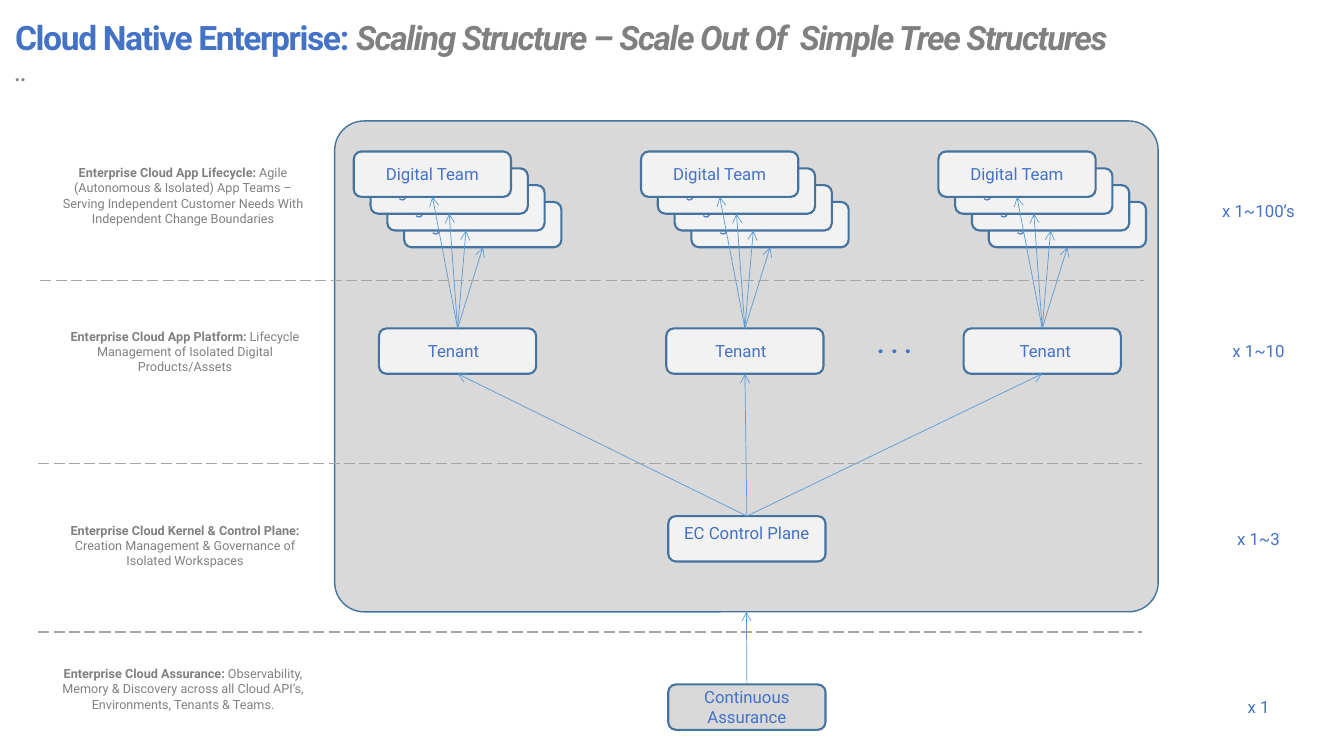
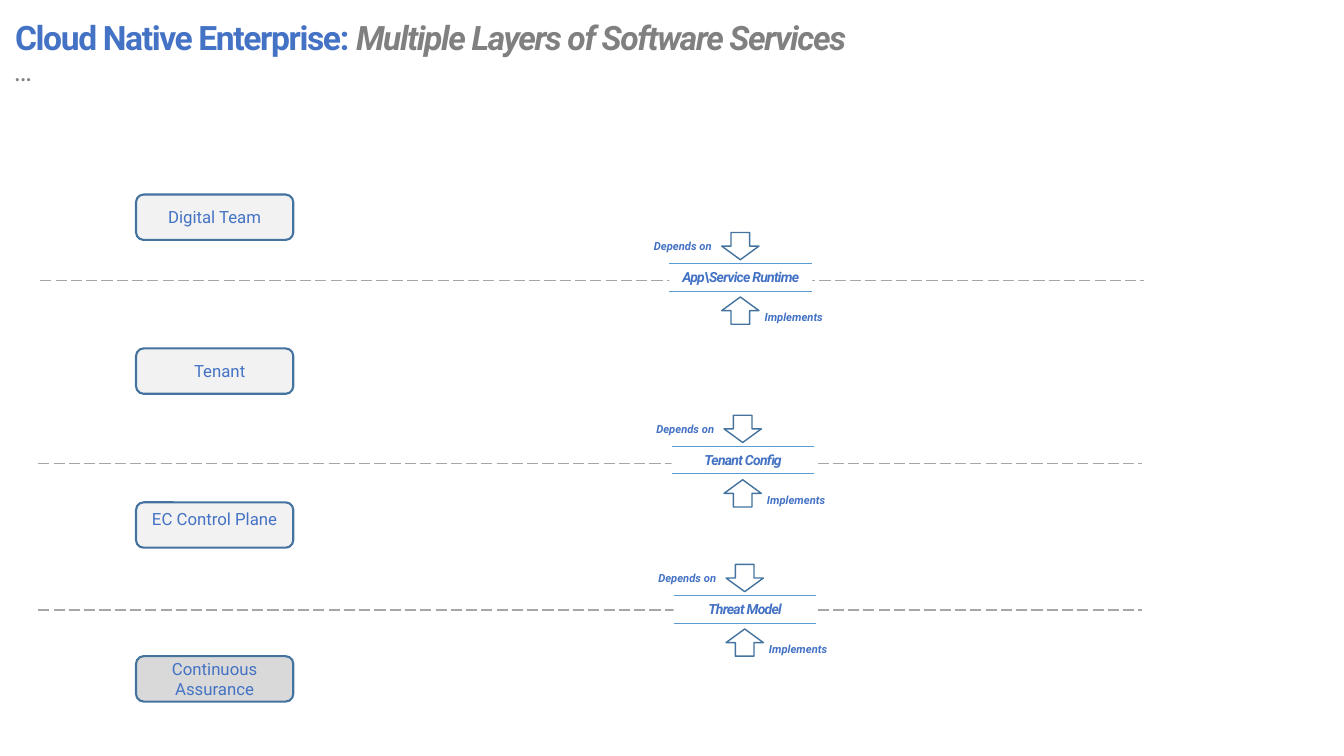
from dataclasses import dataclass

from lxml import etree
from pptx import Presentation
from pptx import util as u
from pptx.dml.color import RGBColor
from pptx.enum import dml, shapes, text
from pptx.oxml import ns

# The slide is a grid of 80 columns by 45 rows; every length below is in grid units.
COLUMNS, ROWS = 80, 45
WIDTH, HEIGHT = u.Inches(13.333), u.Inches(7.5)
CARD_WIDTH, CARD_HEIGHT = 9.36, 2.7
STACK_SIZE = 4


@dataclass(frozen=True)
class Theme:
    font: str = "Roboto"
    blue: str = "4472C4"
    grey: str = "808080"
    outline: str = "43739E"
    arrow: str = "5B9BD5"
    divider: str = "A6A6A6"
    panel: str = "D9D9D9"
    card: str = "F2F2F2"
    white: str = "FFFFFF"
    title: int = 24
    subtitle: int = 20
    dots: int = 18
    label: int = 12
    interface: int = 10
    note: int = 9
    caption: int = 8


THEME = Theme()
LABEL = {"size": THEME.label, "color": THEME.blue}
DOTS = {"size": THEME.dots, "color": THEME.blue, "bold": True}
NOTE = {"size": THEME.note, "color": THEME.grey}
NOTE_HEAD = {**NOTE, "bold": True}
CAPTION = {"size": THEME.caption, "color": THEME.blue, "bold": True, "italic": True}
INTERFACE = {**CAPTION, "size": THEME.interface, "spacing": -0.5}
TITLE = {"size": THEME.title, "color": THEME.blue, "bold": True, "spacing": -1}
TOPIC = {**TITLE, "color": THEME.grey, "italic": True}
SUBTITLE = {**TOPIC, "size": THEME.subtitle, "bold": False}

PANEL = (19.92, 7.2, 49.02, 29.22)
DIVIDER_LENGTH = 65.7
UPPER_DIVIDERS = [(2.4, 16.68), (2.28, 27.6)]
TEAM_LEFTS = [21.06, 38.16, 55.86]
TENANT_SHIFTS = [-0.24, -0.24, 0.18]
LAYERS = [
    (2.64, 9.54, "Enterprise Cloud App Lifecycle: ",
     "Agile (Autonomous & Isolated) App Teams – Serving Independent Customer "
     "Needs With Independent Change Boundaries", "x 1~100’s", 11.64),
    (2.76, 19.26, "Enterprise Cloud App Platform: ",
     "Lifecycle Management of Isolated Digital Products/Assets", "x 1~10", 19.98),
    (2.76, 30.84, "Enterprise Cloud Kernel & Control Plane: ",
     "Creation Management & Governance of Isolated Workspaces", "x 1~3", 31.2),
    (2.64, 39.36, "Enterprise Cloud Assurance: ",
     "Observability, Memory & Discovery across all Cloud API’s, Environments, "
     "Tenants & Teams.", "x 1", 41.16),
]
INTERFACES = [
    ("App\\Service Runtime", 39.84, 15.7),
    ("Tenant Config", 39.98, 26.58),
    ("Threat Model", 40.1, 35.46),
]


def across(columns):
    return round(WIDTH * columns / COLUMNS)


def down(rows):
    return round(HEIGHT * rows / ROWS)


def area(left, top, width, height):
    return across(left), down(top), across(width), down(height)


def add_span(para, words, style):
    span = para.add_run()
    span.text = words
    values = {"name": THEME.font, **style}
    span.font.color.rgb = RGBColor.from_string(values.pop("color"))
    spacing = values.pop("spacing", 0)
    if spacing:
        span._r.get_or_add_rPr().set("spc", str(round(spacing * 100)))
    values["size"] = u.Pt(values["size"])
    for name, value in values.items():
        setattr(span.font, name, value)


def write(box, lines, align=text.PP_ALIGN.CENTER, **frame_format):
    """Fill a box with lines, each a list of (words, style) pairs."""
    frame = box.text_frame
    for name, value in {"word_wrap": True, **frame_format}.items():
        setattr(frame, name, value)
    for index, spans in enumerate(lines):
        para = frame.add_paragraph() if index else frame.paragraphs[0]
        para.alignment = align
        for words, style in spans:
            add_span(para, words, style)
    return frame


def add_label(page, place, *spans):
    write(page.shapes.add_textbox(*area(*place)), [spans])


def add_box(page, kind, place, fill, line_width=0):
    box = page.shapes.add_shape(kind, *area(*place))
    box.shadow.inherit = False
    box.fill.solid()
    box.fill.fore_color.rgb = RGBColor.from_string(fill)
    if line_width:
        box.line.color.rgb = RGBColor.from_string(THEME.outline)
        box.line.width = u.Pt(line_width)
    else:
        box.line.fill.background()
    return box


def add_card(page, words, left, top, fill=THEME.card, shift=0,
             align=text.PP_ALIGN.CENTER, anchor=text.MSO_ANCHOR.MIDDLE, wrap=True):
    """Add a rounded card whose words sit `shift` columns off its centre."""
    card = add_box(page, shapes.MSO_SHAPE.ROUNDED_RECTANGLE,
                   (left, top, CARD_WIDTH, CARD_HEIGHT), fill, 1.5)
    at_top = anchor == text.MSO_ANCHOR.TOP
    write(card, [[(words, LABEL)]], align, word_wrap=wrap, vertical_anchor=anchor,
          margin_left=across(0.6 + shift), margin_right=across(0.6 - shift),
          margin_top=down(0.24 if at_top else 0), margin_bottom=0)
    return card


def add_control_plane(page, left, top):
    return add_card(page, "EC Control Plane", left, top, anchor=text.MSO_ANCHOR.TOP)


def add_assurance(page, left, top):
    return add_card(page, "Continuous Assurance", left, top, fill=THEME.panel)


def add_line(page, start=(0, 0), end=(0, 0), color=THEME.arrow, width=0.5):
    line = page.shapes.add_connector(
        shapes.MSO_CONNECTOR.STRAIGHT, across(start[0]), down(start[1]),
        across(end[0]), down(end[1]))
    line.line.color.rgb = RGBColor.from_string(color)
    line.line.width = u.Pt(width)
    etree.SubElement(line._element.spPr, ns.qn("a:effectLst"))
    return line


def add_arrow(page, lower, upper):
    """Point from the top of one box to the bottom of another."""
    arrow = add_line(page)
    arrow.begin_connect(lower, 0)
    arrow.end_connect(upper, 2)
    etree.SubElement(arrow.line._get_or_add_ln(), ns.qn("a:tailEnd"), type="arrow")


def add_dividers(page, starts):
    for left, top in starts:
        divider = add_line(page, (left, top), (left + DIVIDER_LENGTH, top),
                           THEME.divider, 1)
        divider.line.dash_style = dml.MSO_LINE.LONG_DASH


def add_title(page, topic, subtitle):
    box = page.shapes.add_textbox(*area(0.12, 0.78, 78.18, 4.68))
    frame = write(
        box,
        [[("Cloud Native Enterprise: ", TITLE), (topic, TOPIC)], [(subtitle, SUBTITLE)]],
        text.PP_ALIGN.LEFT, margin_left=across(0.78), margin_right=across(0.78),
        margin_top=down(0.48), margin_bottom=down(0.48))
    for para in frame.paragraphs:
        para.line_spacing = 0.9


def add_tenant_tree(page, left, shift):
    """Add a stack of team cards above their tenant, and return the tenant."""
    teams = []
    for step in reversed(range(STACK_SIZE)):
        place = (left + step, 9.02 + step)
        if step:
            team = add_card(page, "Digital Product", *place,
                            align=text.PP_ALIGN.LEFT, wrap=False)
        else:
            team = add_card(page, "Digital Team", *place)
        teams.append(team)
    tenant = add_card(page, "Tenant", left + 1.5, 19.55, shift=shift)
    for team in teams:
        add_arrow(page, tenant, team)
    return tenant


def add_interface(page, name, left, top):
    """Add a named contract with the layer that depends on it and the one below."""
    width, height = 8.5, 1.62
    box = add_box(page, shapes.MSO_SHAPE.RECTANGLE, (left, top, width, height), THEME.white)
    write(box, [[(name, INTERFACE)]], vertical_anchor=text.MSO_ANCHOR.MIDDLE,
          margin_top=0, margin_bottom=0)
    for edge in (top, top + height):
        add_line(page, (left, edge), (left + width, edge))
    sides = [
        ("Depends on", -1.62, -1.74, shapes.MSO_SHAPE.DOWN_ARROW, -1.86),
        ("Implements", 4.98, 2.46, shapes.MSO_SHAPE.UP_ARROW, 1.98),
    ]
    for words, column, row, kind, arrow_row in sides:
        add_label(page, (left + column, top + row, 4.86, 1.44), (words, CAPTION))
        add_box(page, kind, (left + 3.12, top + arrow_row, 2.22, height), THEME.white, 1)


def build_scaling_page(page):
    panel = add_box(page, shapes.MSO_SHAPE.ROUNDED_RECTANGLE, PANEL, THEME.panel, 1)
    panel.adjustments[0] = 0.06
    add_title(page, "Scaling Structure – Scale Out Of  Simple Tree Structures", "..")
    assurance = add_assurance(page, 39.78, 40.74)
    control_plane = add_control_plane(page, 39.78, 30.72)
    add_label(page, (51.48, 19.26, 3.9, 2.4), (". . . ", DOTS))
    for left, shift in zip(TEAM_LEFTS, TENANT_SHIFTS):
        tenant = add_tenant_tree(page, left, shift)
        add_arrow(page, control_plane, tenant)
    add_arrow(page, assurance, panel)
    add_dividers(page, UPPER_DIVIDERS + [(2.28, 37.62)])
    for left, top, heading, detail, count, count_top in LAYERS:
        add_label(page, (left, top, 16.5, 3.36), (heading, NOTE_HEAD), (detail, NOTE))
        add_label(page, (70.44, count_top, 8.94, 1.8), (count, LABEL))


def build_services_page(page):
    add_dividers(page, UPPER_DIVIDERS + [(2.28, 36.3)])
    add_title(page, "Multiple Layers of Software Services", "…")
    for name, left, top in INTERFACES:
        add_interface(page, name, left, top)
    left = 8.1
    team_top, tenant_top, control_top, assurance_top = (
        11.58 + 9.16 * row for row in range(4))
    add_card(page, "Digital Team", left, team_top)
    add_card(page, "Tenant", left, tenant_top, shift=0.3)
    add_control_plane(page, left, control_top)
    add_assurance(page, left, assurance_top)


def main():
    deck = Presentation()
    deck.slide_width, deck.slide_height = WIDTH, HEIGHT
    for build in (build_scaling_page, build_services_page):
        build(deck.slides.add_slide(deck.slide_layouts[6]))
    deck.save("out.pptx")


if __name__ == "__main__":
    main()
